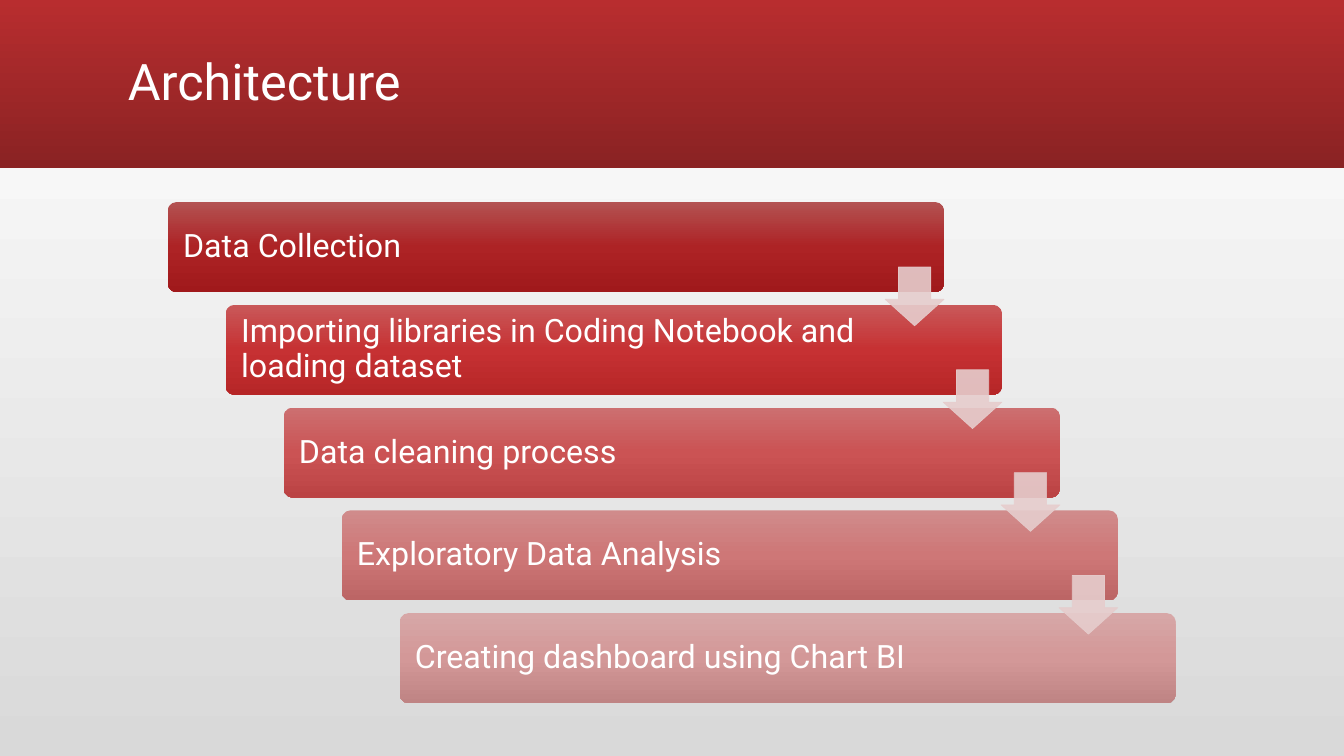
import dataclasses

import lxml.etree
import pptx
import pptx.dml.color
import pptx.enum.shapes
import pptx.enum.text
import pptx.oxml.ns
import pptx.util

Cm = pptx.util.Cm
Pt = pptx.util.Pt
Kind = pptx.enum.shapes.MSO_SHAPE
qn = pptx.oxml.ns.qn


@dataclasses.dataclass(frozen=True)
class Theme:
    font: str = "Roboto"
    text: str = "FFFFFF"
    page: tuple = ("FFFFFF", "D9D9D9")
    band: tuple = ("B82D2F", "8A2223")
    steps: tuple = (
        ("B35252", "AD2325", "A0191B"),
        ("C95859", "C63133", "B62627"),
        ("CC6F70", "CB5354", "BB4344"),
        ("D08B8B", "CE7777", "BC6565"),
        ("D7A7A7", "D39898", "BF8484"),
    )
    arrow: str = "E6CDCD"
    alpha: int = 90
    title: int = 36
    body: int = 23


def rgb(color):
    return pptx.dml.color.RGBColor.from_string(color)


def apply(item, values):
    for name, value in values.items():
        setattr(item, name, value)


def shade(fill, root, colors):
    fill.gradient()
    fill.gradient_angle = 270
    stops = root.find(".//" + qn("a:gsLst"))
    stops.clear()
    for i, color in enumerate(colors):
        place = str(100000 * i // (len(colors) - 1))
        stop = lxml.etree.SubElement(stops, qn("a:gs"), pos=place)
        lxml.etree.SubElement(stop, qn("a:srgbClr"), val=color)


class Page:
    def __init__(self, deck, theme):
        self.theme = theme
        self.slide = deck.slides.add_slide(deck.slide_layouts[5])
        shade(self.slide.background.fill, self.slide.element, theme.page)

    def shape(self, kind, box, adjust=()):
        shape = self.slide.shapes.add_shape(kind, *map(Cm, box))
        shape.shadow.inherit = False
        for i, value in enumerate(adjust):
            shape.adjustments[i] = value
        return shape

    def label(self, shape, text, size, left, right):
        frame = shape.text_frame
        frame.text = text
        apply(frame, {
            "word_wrap": True,
            "auto_size": pptx.enum.text.MSO_AUTO_SIZE.NONE,
            "vertical_anchor": pptx.enum.text.MSO_ANCHOR.MIDDLE,
            "margin_left": Cm(left),
            "margin_right": Cm(right),
        })
        line = frame.paragraphs[0]
        apply(line, {"alignment": pptx.enum.text.PP_ALIGN.LEFT, "line_spacing": 0.9})
        font = line.runs[0].font
        apply(font, {"name": self.theme.font, "size": Pt(size)})
        font.color.rgb = rgb(self.theme.text)

    def band(self, box):
        band = self.shape(Kind.RECTANGLE, box)
        shade(band.fill, band.element, self.theme.band)
        band.line.fill.background()
        self.slide.shapes.element.insert(2, band.element)

    def title(self, text, box):
        title = self.slide.shapes.title
        apply(title, dict(zip(("left", "top", "width", "height"), map(Cm, box))))
        self.label(title, text, self.theme.title, 0.25, 0.25)

    def step(self, text, box, colors):
        step = self.shape(Kind.ROUNDED_RECTANGLE, box, (0.1,))
        shade(step.fill, step.element, colors)
        step.line.fill.background()
        self.label(step, text, self.theme.body, 0.32, 3.26)

    def arrow(self, box):
        arrow = self.shape(Kind.DOWN_ARROW, box, (0.55, 0.45))
        arrow.line.width = Pt(0.5)
        for fill in (arrow.fill, arrow.line.fill):
            fill.solid()
            fill.fore_color.rgb = rgb(self.theme.arrow)
        alpha = str(self.theme.alpha * 1000)
        for color in arrow.element.spPr.iter(qn("a:srgbClr")):
            lxml.etree.SubElement(color, qn("a:alpha"), val=alpha)


def main():
    deck = pptx.Presentation()
    apply(deck, {"slide_width": Cm(33.87), "slide_height": Cm(19.05)})
    theme = Theme()
    page = Page(deck, theme)
    page.band((0, 0, 33.87, 4.23))
    page.title("Architecture", (2.97, 0.28, 27.94, 3.68))

    steps = (
        "Data Collection",
        "Importing libraries in Coding Notebook and loading dataset",
        "Data cleaning process",
        "Exploratory Data Analysis",
        "Creating dashboard using Chart BI",
    )
    across, down = 1.46, 2.59
    for i, text in enumerate(steps):
        box = (4.23 + i * across, 5.09 + i * down, 19.56, 2.27)
        page.step(text, box, theme.steps[i])
    for i in range(len(steps) - 1):
        page.arrow((22.31 + i * across, 6.73 + i * down, 1.48, 1.48))

    deck.save("out.pptx")


if __name__ == "__main__":
    main()
